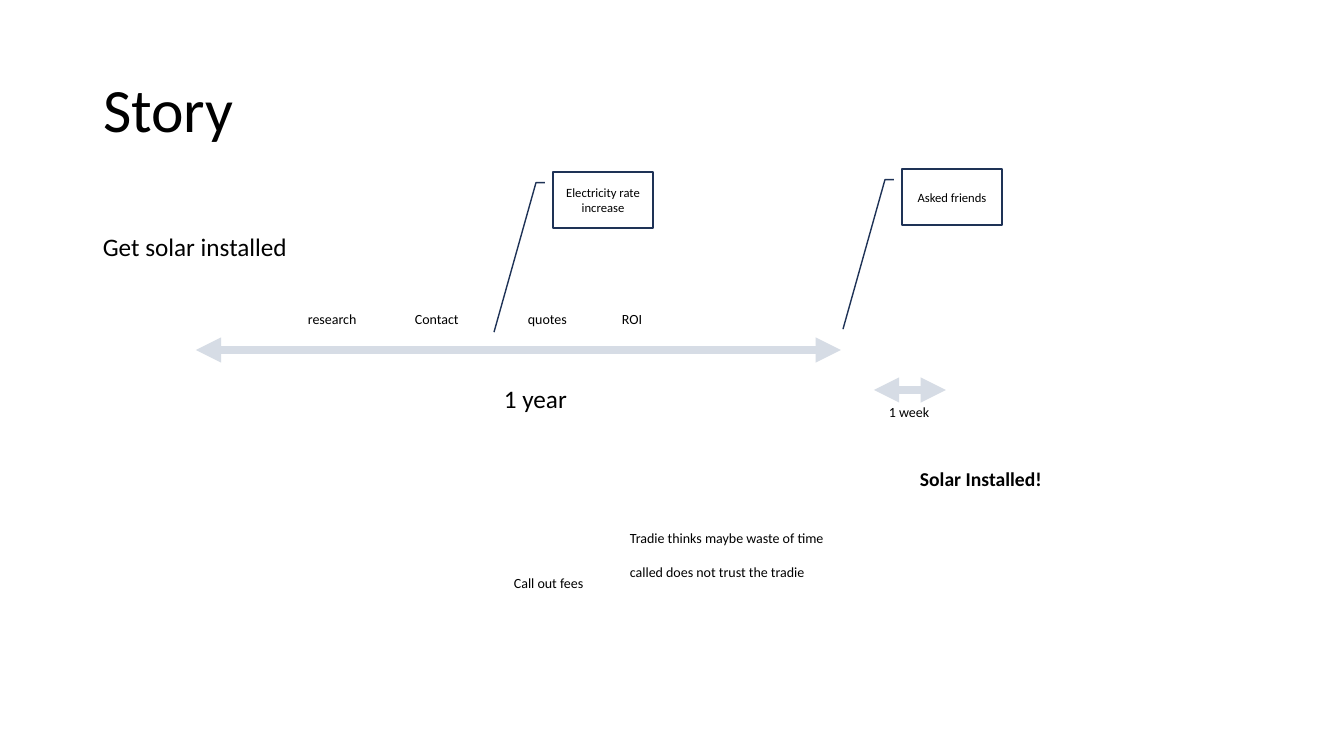
from lxml import etree
from pptx import Presentation, util as u
from pptx.dml.color import RGBColor
from pptx.enum import shapes, text
from pptx.oxml.ns import qn

INK = {"text": "000000", "arrow": "D6DCE5", "edge": "1E3256"}
FACE = "Calibri"


def px(n):
    return u.Emu(round(n * 914400 / 100.8))


def write(frame, lines, size, bold=False, align=text.PP_ALIGN.LEFT):
    frame.text = "\n".join(lines)
    for par in frame.paragraphs:
        par.alignment = align
        par.font.name = FACE
        par.font.size = u.Pt(size)
        par.font.bold = bold
        par.font.color.rgb = RGBColor.from_string(INK["text"])


deck = Presentation()
deck.slide_width, deck.slide_height = px(1344), px(756)
slide = deck.slides.add_slide(deck.slide_layouts[5])

# Title
title = slide.shapes.title
title.left, title.top, title.width, title.height = px(93), px(40), px(1159), px(146)
title.text_frame.vertical_anchor = text.MSO_ANCHOR.MIDDLE
write(title.text_frame, ["Story"], 44)
title.text_frame.paragraphs[0].line_spacing = 0.9

# Time spans: left, right, height on the slide
for left, right, mid in [(196, 841, 350), (874, 946, 390)]:
    span = slide.shapes.add_connector(
        shapes.MSO_CONNECTOR.STRAIGHT, px(left), px(mid), px(right), px(mid))
    span.line.width = u.Pt(6)
    span.line.color.rgb = RGBColor.from_string(INK["arrow"])
    line = span.line._get_or_add_ln()
    for end in ("a:headEnd", "a:tailEnd"):
        etree.SubElement(line, qn(end), type="triangle")
    etree.SubElement(span._element.spPr, qn("a:effectLst"))

# Labels: left, top, width, height, size, bold, lines
labels = [
    (93, 226, 207, 40, 18, False, ["Get solar installed"]),
    (298, 306, 70, 27, 10, False, ["research"]),
    (405, 306, 66, 27, 10, False, ["Contact"]),
    (518, 306, 59, 27, 10, False, ["quotes"]),
    (612, 306, 41, 27, 10, False, ["ROI"]),
    (494, 378, 84, 40, 18, False, ["1 year"]),
    (910, 462, 143, 34, 14, True, ["Solar Installed!"]),
    (879, 399, 61, 27, 10, False, ["1 week"]),
    (504, 570, 91, 27, 10, False, ["Call out fees"]),
    (620, 525, 218, 61, 10, False,
     ["Tradie thinks maybe waste of time", "called does not trust the tradie"]),
]
for left, top, wide, high, size, bold, lines in labels:
    frame = slide.shapes.add_textbox(px(left), px(top), px(wide), px(high)).text_frame
    frame.word_wrap = False
    frame.auto_size = text.MSO_AUTO_SIZE.SHAPE_TO_FIT_TEXT
    write(frame, lines, size, bold)
    for par in frame.paragraphs[1:]:
        par.space_before = u.Pt(12)

# Callouts
for left, top, words in [(553, 172, "Electricity rate increase"),
                         (902, 169, "Asked friends")]:
    note = slide.shapes.add_shape(
        shapes.MSO_SHAPE.LINE_CALLOUT_2, px(left), px(top), px(100), px(56))
    for i, value in enumerate([0.19, -0.08, 0.19, -0.17, 2.86, -0.59]):
        note.adjustments[i] = value
    note.shadow.inherit = False
    note.fill.background()
    note.line.width = u.Pt(1)
    note.line.color.rgb = RGBColor.from_string(INK["edge"])
    note.text_frame.word_wrap = True
    note.text_frame.vertical_anchor = text.MSO_ANCHOR.MIDDLE
    write(note.text_frame, [words], 9, align=text.PP_ALIGN.CENTER)

deck.save("out.pptx")
